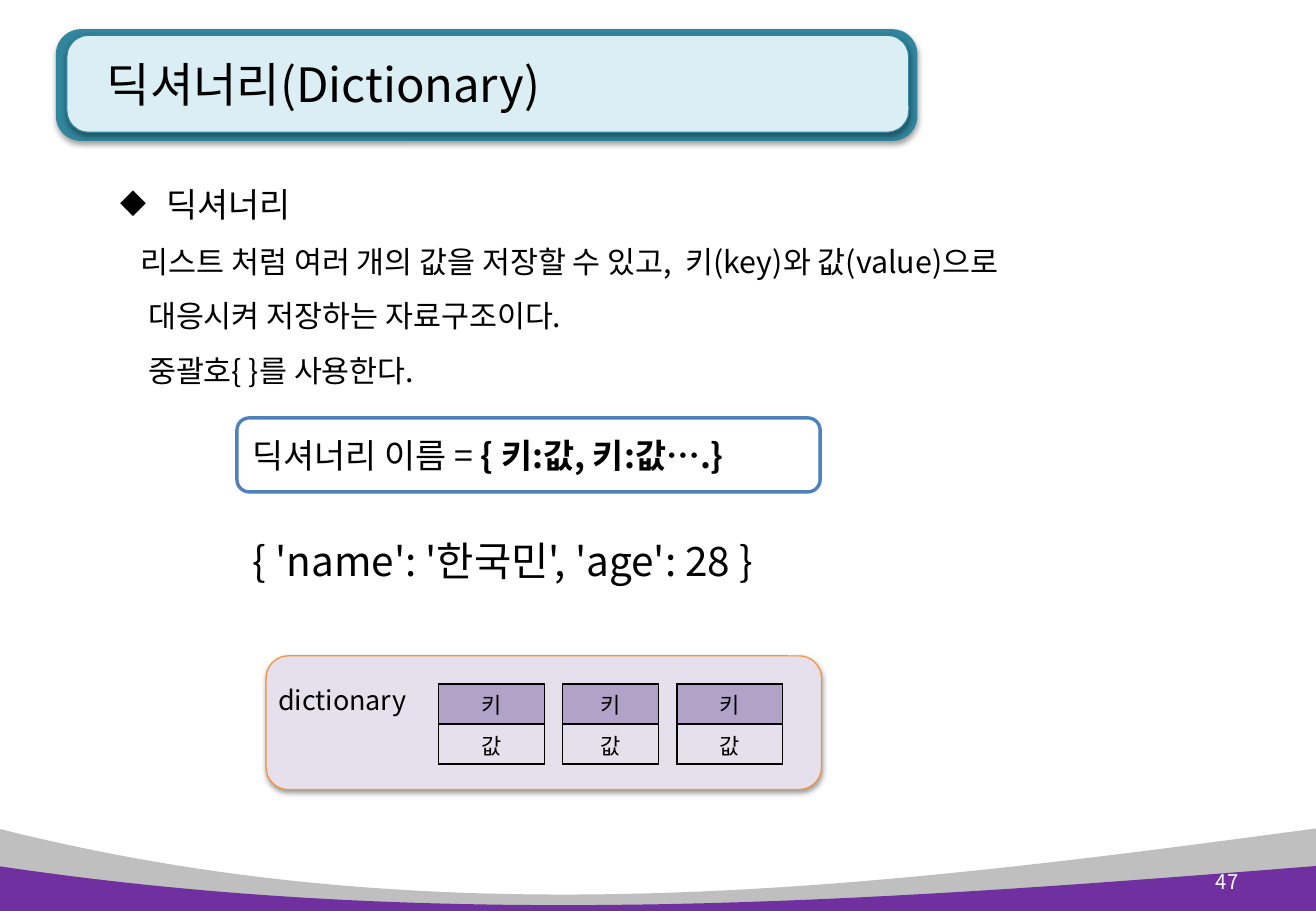
import pptx
import pptx.util
import pptx.dml.color
import pptx.enum.shapes
import pptx.enum.text
import pptx.oxml
import pptx.oxml.ns

Inches = pptx.util.Inches
RGBColor = pptx.dml.color.RGBColor
SHAPES = pptx.enum.shapes.MSO_SHAPE
MIDDLE = pptx.enum.text.MSO_ANCHOR.MIDDLE
ALIGN = pptx.enum.text.PP_ALIGN

FONT = "Noto Sans CJK KR"
NAMESPACE = pptx.oxml.ns.nsdecls("a")
BLACK = RGBColor(0, 0, 0)
WHITE = RGBColor(255, 255, 255)
GRAY = RGBColor(0xBF, 0xBF, 0xBF)
PURPLE = RGBColor(0x70, 0x30, 0xA0)
TEAL = RGBColor(0x31, 0x85, 0x9C)
PALE_TEAL = RGBColor(0xDB, 0xEE, 0xF4)
LILAC = RGBColor(0xE6, 0xE0, 0xEC)
KEY_PURPLE = RGBColor(0xB3, 0xA2, 0xC7)
ORANGE = RGBColor(0xF6, 0x92, 0x40)
BLUE = RGBColor(0x4F, 0x81, 0xBD)

deck = pptx.Presentation()
deck.slide_width = Inches(10.83)
deck.slide_height = Inches(7.5)
page = deck.slides.add_slide(deck.slide_layouts[6])


def write(para, size, *texts, color=BLACK, align=ALIGN.LEFT):
    para.alignment = align
    para.font.size = pptx.util.Pt(size)
    para.font.color.rgb = color
    para.font.name = FONT
    para.font._element.append(
        pptx.oxml.parse_xml(f'<a:ea {NAMESPACE} typeface="{FONT}"/>'))
    for text in texts:
        span = para.add_run()
        span.text = text
    return para


def add_panel(place, kind, fill, line=None, width=0.75, shadow=False):
    panel = page.shapes.add_shape(kind, *map(Inches, place))
    panel.shadow.inherit = False
    panel.fill.solid()
    panel.fill.fore_color.rgb = fill
    if line is None:
        panel.line.fill.background()
    else:
        panel.line.color.rgb = line
        panel.line.width = pptx.util.Pt(width)
    if shadow:
        effects = panel._element.spPr.find(pptx.oxml.ns.qn("a:effectLst"))
        effects.append(pptx.oxml.parse_xml(
            f'<a:outerShdw {NAMESPACE} blurRad="39370" dist="20320" dir="5400000" '
            'rotWithShape="0"><a:srgbClr val="000000"><a:alpha val="38000"/>'
            '</a:srgbClr></a:outerShdw>'))
    return panel


def_waves = [
    (GRAY, (6.82, 7.75, 7.31, 6.82), 7.5),
    (PURPLE, (7.13, 7.68, 7.42, 7.13), 7.53),
]
title_frames = [
    ((0.46, 0.24, 7.09, 0.92), TEAL, None),
    ((0.55, 0.29, 6.93, 0.8), PALE_TEAL, TEAL),
]
wave_x = (-0.02, 3.65, 7.2, 10.83)
steps = 60
for (color, wave_y, bottom), (place, fill, line) in zip(def_waves, title_frames):
    points = []
    for step in range(steps + 1):
        t = step / steps
        weights = ((1 - t) ** 3, 3 * t * (1 - t) ** 2, 3 * t * t * (1 - t), t ** 3)
        points.append(tuple(Inches(sum(w * v for w, v in zip(weights, values)))
                            for values in (wave_x, wave_y)))
    points += [(Inches(wave_x[-1]), Inches(bottom)), (Inches(wave_x[0]), Inches(bottom))]
    builder = page.shapes.build_freeform(*points[0])
    builder.add_line_segments(points[1:], close=True)
    wave = builder.convert_to_shape()
    wave.shadow.inherit = False
    wave.fill.solid()
    wave.fill.fore_color.rgb = color
    wave.line.fill.background()

    frame = add_panel(place, SHAPES.ROUNDED_RECTANGLE, fill, line, shadow=True)
    frame.adjustments[0] = 0.225

body = add_panel((0.89, 1.3, 8.55, 1.97), SHAPES.RECTANGLE, WHITE).text_frame
body.vertical_anchor = pptx.enum.text.MSO_ANCHOR.TOP
body_lines = [
    ("딕셔너리", 20, 0.38),
    ("리스트 처럼 여러 개의 값을 저장할 수 있고,  키(key)와 값(value)으로", 18, 0.17),
    ("대응시켜 저장하는 자료구조이다.", 18, 0.23),
    ("중괄호{ }를 사용한다.", 18, 0.23),
]
for index, (text, size, indent) in enumerate(body_lines):
    para = body.add_paragraph() if index else body.paragraphs[0]
    write(para, size, text)
    para.line_spacing = 1.5
    properties = para._p.get_or_add_pPr()
    properties.set("marL", str(Inches(indent)))
    if index == 0:
        properties.set("indent", str(-Inches(indent)))
        properties.find(pptx.oxml.ns.qn("a:defRPr")).addprevious(
            pptx.oxml.parse_xml(f'<a:buChar {NAMESPACE} char="◆"/>'))

add_panel((2.19, 5.4, 4.57, 1.1), SHAPES.ROUNDED_RECTANGLE, LILAC, ORANGE, shadow=True)

syntax = add_panel((1.95, 3.44, 4.8, 0.61), SHAPES.ROUNDED_RECTANGLE, WHITE, BLUE, 2)
syntax.text_frame.vertical_anchor = MIDDLE
syntax_para = write(syntax.text_frame.paragraphs[0], 20,
                    "딕셔너리 이름 = ", "{ 키:값, 키:값….}")
syntax_para.runs[1].font.bold = True

labels = [
    ("딕셔너리(Dictionary)", (0.78, 0.22, 6.69, 0.94), 28, BLACK, ALIGN.LEFT, MIDDLE),
    ("47", (9.68, 7.06, 0.61, 0.4), 12, WHITE, ALIGN.RIGHT, MIDDLE),
    ("dictionary", (2.19, 5.58, 1.5, 0.37), 16, BLACK, ALIGN.LEFT, None),
    ("{ 'name': '한국민', 'age': 28 }", (1.98, 4.36, 4.79, 0.5), 24, BLACK,
     ALIGN.LEFT, None),
]
for text, place, size, color, align, anchor in labels:
    label = page.shapes.add_textbox(*map(Inches, place)).text_frame
    label.word_wrap = True
    label.vertical_anchor = anchor
    write(label.paragraphs[0], size, text, color=color, align=align)

for left, width in [(3.61, 0.87), (4.63, 0.79), (5.57, 0.87)]:
    table = page.shapes.add_table(2, 1, Inches(left), Inches(5.63),
                                  Inches(width), Inches(0.66)).table
    table.first_row = False
    table.horz_banding = False
    for row, text in enumerate(("키", "값")):
        cell = table.cell(row, 0)
        cell.margin_left = cell.margin_right = Inches(0.08)
        cell.margin_top = cell.margin_bottom = Inches(0.04)
        write(cell.text_frame.paragraphs[0], 13, text, align=ALIGN.CENTER)
        for side in ("lnL", "lnR", "lnT", "lnB"):
            cell._tc.get_or_add_tcPr().append(pptx.oxml.parse_xml(
                f'<a:{side} {NAMESPACE} w="12700"><a:solidFill>'
                f'<a:srgbClr val="{BLACK}"/></a:solidFill></a:{side}>'))
        if row == 0:
            cell.fill.solid()
            cell.fill.fore_color.rgb = KEY_PURPLE
        else:
            cell.fill.background()

deck.save("out.pptx")
